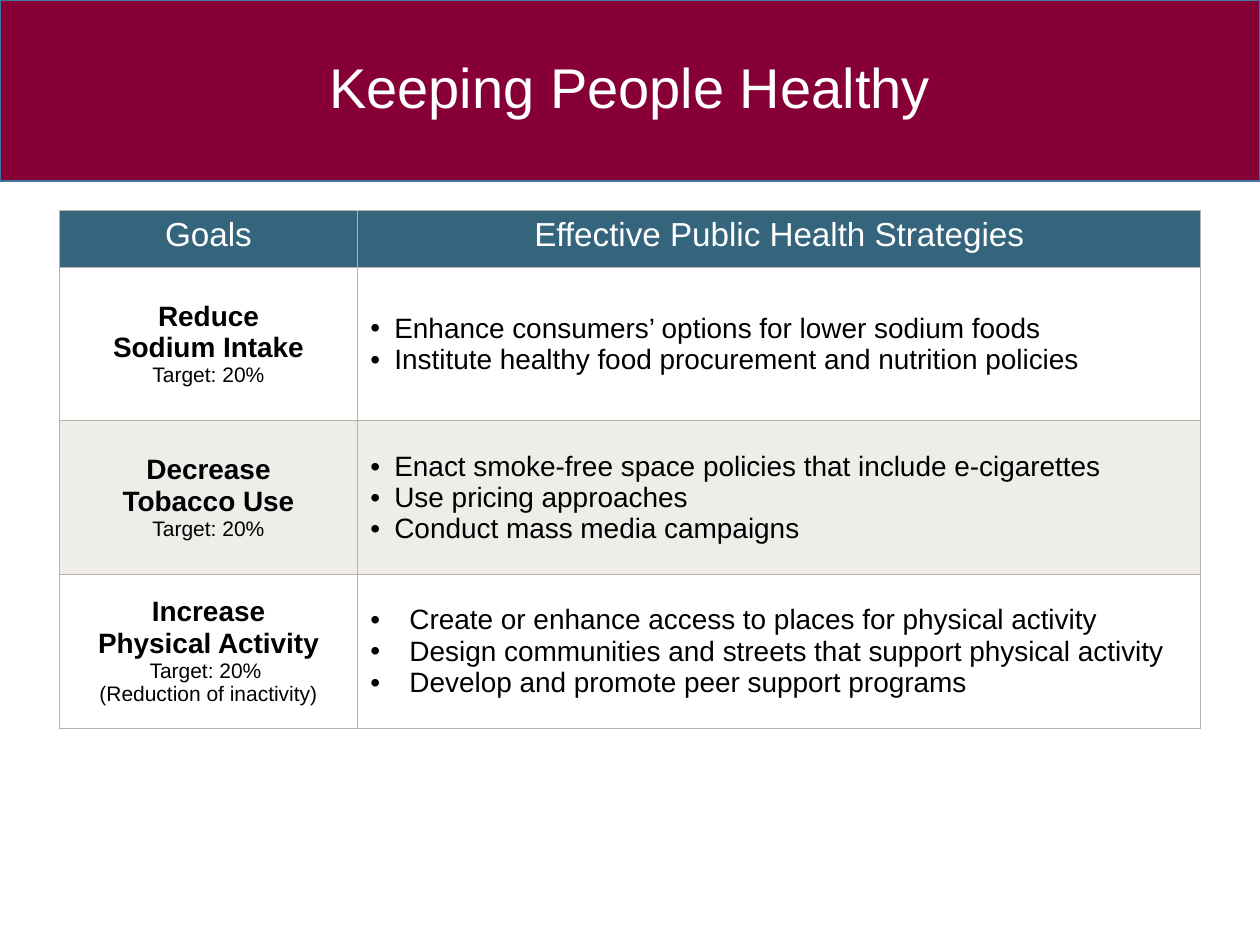
import pptx
import pptx.dml.color
import pptx.enum.shapes
import pptx.enum.text
import pptx.oxml.ns
import pptx.util
from lxml import etree

Inches, Pt = pptx.util.Inches, pptx.util.Pt
ALIGN, ANCHOR = pptx.enum.text.PP_ALIGN, pptx.enum.text.MSO_ANCHOR

COLORS = {"band": "860037", "band line": "43739E", "header": "35647D",
          "stripe": "EFEDE9", "border": "BAB0A5", "white": "FFFFFF", "black": "000000"}
FONT = "Arial"
GOAL, TARGET = (16, True), (12, False)  # size and bold

TITLE = "Keeping People Healthy"
HEADERS = ["Goals", "Effective Public Health Strategies"]
# Each goal is a list of paragraphs, each paragraph a list of (text, style).
ROWS = [
    {"goal": [[("Reduce\vSodium Intake", GOAL)], [("Target: 20%", TARGET)]],
     "indent": 0.19,
     "strategies": ["Enhance consumers’ options for lower sodium foods",
                    "Institute healthy food procurement and nutrition policies"]},
    {"goal": [[("Decrease\vTobacco Use", GOAL)], [("Target: 20%", TARGET)]],
     "indent": 0.19,
     "strategies": ["Enact smoke-free space policies that include e-cigarettes",
                    "Use pricing approaches",
                    "Conduct mass media campaigns"]},
    {"goal": [[("Increase", GOAL)],
              [("Physical Activity ", GOAL), ("Target: 20% ", TARGET)],
              [("(Reduction of inactivity)", TARGET)]],
     "indent": 0.31,
     "strategies": ["Create or enhance access to places for physical activity",
                    "Design communities and streets that support physical activity",
                    "Develop and promote peer support programs"]},
]

WIDTH, HEIGHT, BAND_HEIGHT = 10, 7.5, 1.44
TITLE_MARGIN = 0.69
TABLE_LEFT, TABLE_TOP = 0.47, 1.67
COLUMNS = [2.37, 6.69]
HEADER_HEIGHT, ROW_HEIGHT = 0.45, 1.22


def rgb(name):
    return pptx.dml.color.RGBColor.from_string(COLORS[name])


def style(font, size, color, bold=False):
    font.name, font.size, font.bold = FONT, Pt(size), bold
    font.color.rgb = rgb(color)


def add_element(parent, tag, **attributes):
    return etree.SubElement(parent, pptx.oxml.ns.qn(tag), attributes)


def format_cell(cell, fill=None):
    """Draw the four borders, then the fill, which must follow them in the XML."""
    properties = cell._tc.get_or_add_tcPr()
    for side in ("a:lnL", "a:lnR", "a:lnT", "a:lnB"):
        line = add_element(properties, side, w=str(Pt(0.75)))
        add_element(add_element(line, "a:solidFill"), "a:srgbClr", val=COLORS["border"])
    if fill:
        cell.fill.solid()
        cell.fill.fore_color.rgb = rgb(fill)
    else:
        cell.fill.background()


def paragraphs(cell, count):
    frame = cell.text_frame
    return [frame.paragraphs[0]] + [frame.add_paragraph() for _ in range(count - 1)]


def write_goal(cell, goal):
    for para, spans in zip(paragraphs(cell, len(goal)), goal):
        para.alignment = ALIGN.CENTER
        if len(spans) == 1:
            text, (size, bold) = spans[0]
            para.text = text
            style(para.font, size, "black", bold)
            continue
        for text, (size, bold) in spans:
            span = para.add_run()
            span.text = text
            style(span.font, size, "black", bold)


def write_strategies(cell, strategies, indent):
    for para, text in zip(paragraphs(cell, len(strategies)), strategies):
        para.text = text
        properties = para._p.get_or_add_pPr()
        properties.set("marL", str(Inches(indent)))
        properties.set("indent", str(-Inches(indent)))
        add_element(properties, "a:buFont", typeface=FONT)
        add_element(properties, "a:buChar", char="•")
        style(para.font, 16, "black")


def add_title(page):
    band = page.shapes.add_shape(pptx.enum.shapes.MSO_SHAPE.RECTANGLE,
                                 0, 0, Inches(WIDTH), Inches(BAND_HEIGHT))
    band.shadow.inherit = False
    band.fill.solid()
    band.fill.fore_color.rgb = rgb("band")
    band.line.color.rgb = rgb("band line")
    band.line.width = Pt(1)

    title = page.shapes.title
    band._element.addnext(title._element)
    title.left, title.top = Inches(TITLE_MARGIN), 0
    title.width, title.height = Inches(WIDTH - 2 * TITLE_MARGIN), Inches(BAND_HEIGHT)
    title.text_frame.text = TITLE
    title.text_frame.vertical_anchor = ANCHOR.MIDDLE
    para = title.text_frame.paragraphs[0]
    para.alignment, para.line_spacing = ALIGN.CENTER, 0.9
    style(para.font, 32, "white")


def add_goal_table(page):
    heights = [HEADER_HEIGHT] + [ROW_HEIGHT] * len(ROWS)
    table = page.shapes.add_table(len(heights), len(COLUMNS), Inches(TABLE_LEFT),
                                  Inches(TABLE_TOP), Inches(sum(COLUMNS)),
                                  Inches(sum(heights))).table
    for column, width in zip(table.columns, COLUMNS):
        column.width = Inches(width)
    for row, height in zip(table.rows, heights):
        row.height = Inches(height)

    for cell, text in zip(table.rows[0].cells, HEADERS):
        format_cell(cell, "header")
        cell.text = text
        para = cell.text_frame.paragraphs[0]
        para.alignment = ALIGN.CENTER
        style(para.font, 19, "white")

    for index, row in enumerate(ROWS, start=1):
        goal, strategies = table.rows[index].cells
        for cell in (goal, strategies):
            format_cell(cell, "stripe" if index % 2 == 0 else None)
            cell.vertical_anchor = ANCHOR.MIDDLE
        write_goal(goal, row["goal"])
        write_strategies(strategies, row["strategies"], row["indent"])


def main():
    deck = pptx.Presentation()
    deck.slide_width, deck.slide_height = Inches(WIDTH), Inches(HEIGHT)
    page = deck.slides.add_slide(deck.slide_layouts.get_by_name("Title Only"))
    add_title(page)
    add_goal_table(page)
    deck.save("out.pptx")


if __name__ == "__main__":
    main()
